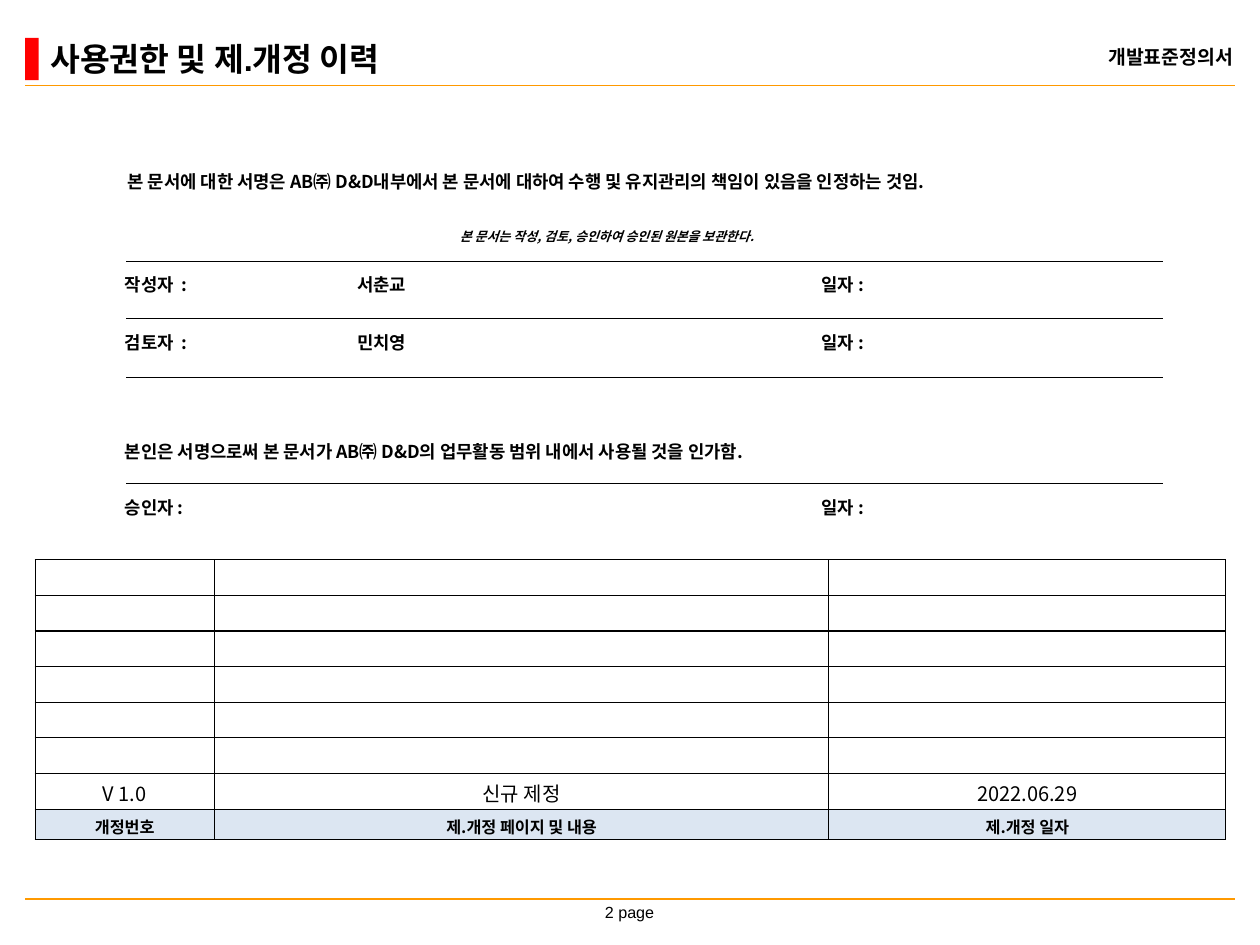
from pptx import Presentation
from pptx.dml.color import RGBColor
from pptx.enum.shapes import MSO_CONNECTOR as Conn, MSO_SHAPE as Shape
from pptx.enum.text import MSO_ANCHOR as Anchor, MSO_AUTO_SIZE as Auto, PP_ALIGN as Align
from pptx.oxml.ns import qn
from pptx.util import Inches, Pt
from lxml.etree import SubElement as Sub

HUES = {"ink": "000000", "rule": "FF9900", "mark": "FF0000", "head": "DCE6F2"}
NOTO = "Noto Sans CJK KR"
EDGES = (0.1, 0.05)
WIDE = (0.13, 0.06)
STOPS = (2.58, 7.74)


def hue(name):
    return RGBColor.from_string(HUES[name])


def style(para, size, bold=True, italic=False, face=NOTO):
    for run in para.runs:
        font = run.font
        font.size, font.bold, font.italic = Pt(size), bold, italic
        font.name = face
        font.color.rgb = hue("ink")
        Sub(run._r.get_or_add_rPr(), qn("a:ea")).set("typeface", NOTO)


def add_tabs(para):
    tabs = Sub(para._p.get_or_add_pPr(), qn("a:tabLst"))
    for stop in STOPS:
        tab = Sub(tabs, qn("a:tab"))
        tab.set("pos", str(Inches(stop)))
        tab.set("algn", "l")


def add_text(slide, area, text, size, align=Align.LEFT, pad=EDGES, grow=True,
             tabs=False, **look):
    frame = slide.shapes.add_textbox(*map(Inches, area)).text_frame
    frame.word_wrap = True
    frame.auto_size = Auto.SHAPE_TO_FIT_TEXT if grow else Auto.NONE
    frame.vertical_anchor = Anchor.TOP if grow else Anchor.MIDDLE
    frame.margin_left = frame.margin_right = Inches(pad[0])
    frame.margin_top = frame.margin_bottom = Inches(pad[1])
    para = frame.paragraphs[0]
    para.text = text
    para.alignment = align
    if tabs:
        add_tabs(para)
    style(para, size, **look)


def add_line(slide, left, right, top, color, width):
    line = slide.shapes.add_connector(
        Conn.STRAIGHT, Inches(left), Inches(top), Inches(right), Inches(top))
    line.line.color.rgb = hue(color)
    line.line.width = Pt(width)
    Sub(line._element.spPr, qn("a:effectLst"))


def add_mark(slide):
    mark = slide.shapes.add_shape(
        Shape.RECTANGLE, *map(Inches, (0.28, 0.42, 0.15, 0.47)))
    mark.shadow.inherit = False
    mark.fill.solid()
    mark.fill.fore_color.rgb = hue("mark")
    mark.line.fill.background()


def add_edges(cell):
    props = cell._tc.get_or_add_tcPr()
    for spot, side in enumerate(("lnL", "lnR", "lnT", "lnB")):
        edge = props.makeelement(qn("a:" + side), {"w": str(Pt(1))})
        fill = Sub(edge, qn("a:solidFill"))
        Sub(fill, qn("a:srgbClr")).set("val", HUES["ink"])
        props.insert(spot, edge)


def fill_cell(cell, text, head):
    if head:
        cell.fill.solid()
        cell.fill.fore_color.rgb = hue("head")
    else:
        cell.fill.background()
    add_edges(cell)
    cell.vertical_anchor = Anchor.MIDDLE
    cell.margin_left = cell.margin_right = Inches(0.13)
    cell.margin_top, cell.margin_bottom = Inches(0.05), Inches(0.01)
    para = cell.text_frame.paragraphs[0]
    para.alignment = Align.CENTER
    if text:
        para.text = text
        style(para, 13 if head else 16, bold=head)
    else:
        para._p.get_or_add_endParaRPr().set("sz", "1200")


def add_log(slide):
    rows = [("", "", "")] * 6 + [
        ("V 1.0", "신규 제정", "2022.06.29"),
        ("개정번호", "제.개정 페이지 및 내용", "제.개정 일자")]
    last = len(rows) - 1
    table = slide.shapes.add_table(
        len(rows), 3, *map(Inches, (0.39, 6.22, 13.23, 3.12))).table
    table.first_row = table.horz_banding = False
    for col, width in zip(table.columns, (1.99, 6.83, 4.41)):
        col.width = Inches(width)
    for i, row in enumerate(rows):
        table.rows[i].height = Inches(0.34 if i == last else 0.396)
        for j, text in enumerate(row):
            fill_cell(table.cell(i, j), text, i == last)


def add_frame(slide):
    for top in (0.95, 9.99):
        add_line(slide, 0.28, 13.72, top, "rule", 1.5)
    add_mark(slide)
    add_text(slide, (0.44, 0.37, 9.3, 0.55), "사용권한 및 제.개정 이력", 25.9,
             pad=(0.12, 0.06), face="Arial")
    add_text(slide, (9.8, 0.33, 4.03, 0.59), "개발표준정의서", 15.5,
             Align.RIGHT, WIDE, grow=False)
    add_text(slide, (5.71, 9.98, 2.57, 0.32), "2 page", 12.9,
             Align.CENTER, bold=False, face="Arial")


def add_signs(slide):
    add_text(slide, (1.32, 1.85, 10.85, 0.34),
             "본 문서에 대한 서명은 AB㈜ D&D내부에서 본 문서에 대하여 "
             "수행 및 유지관리의 책임이 있음을 인정하는 것임.", 14.2)
    add_text(slide, (1.32, 2.49, 10.85, 0.28),
             "본 문서는 작성, 검토, 승인하여 승인된 원본을 보관한다.", 10.3,
             Align.CENTER, italic=True)
    add_text(slide, (1.29, 4.85, 10.85, 0.34),
             "본인은 서명으로써 본 문서가 AB㈜ D&D의 업무활동 범위 내에서 "
             "사용될 것을 인가함.", 14.2)
    for top in (2.9, 3.54, 4.19, 5.37):
        add_line(slide, 1.4, 12.92, top, "ink", 0.75)
    signs = ((2.99, "작성자  :", "서춘교"), (3.64, "검토자  :", "민치영"),
             (5.47, "승인자 :", ""))
    for top, role, name in signs:
        add_text(slide, (1.29, top, 10.85, 0.34), f"{role}\t{name}\t일자 :",
                 14.2, tabs=True)


def main():
    deck = Presentation()
    deck.slide_width, deck.slide_height = Inches(14), Inches(10.5)
    slide = deck.slides.add_slide(deck.slide_layouts[6])
    add_frame(slide)
    add_signs(slide)
    add_log(slide)
    deck.save("out.pptx")


if __name__ == "__main__":
    main()
